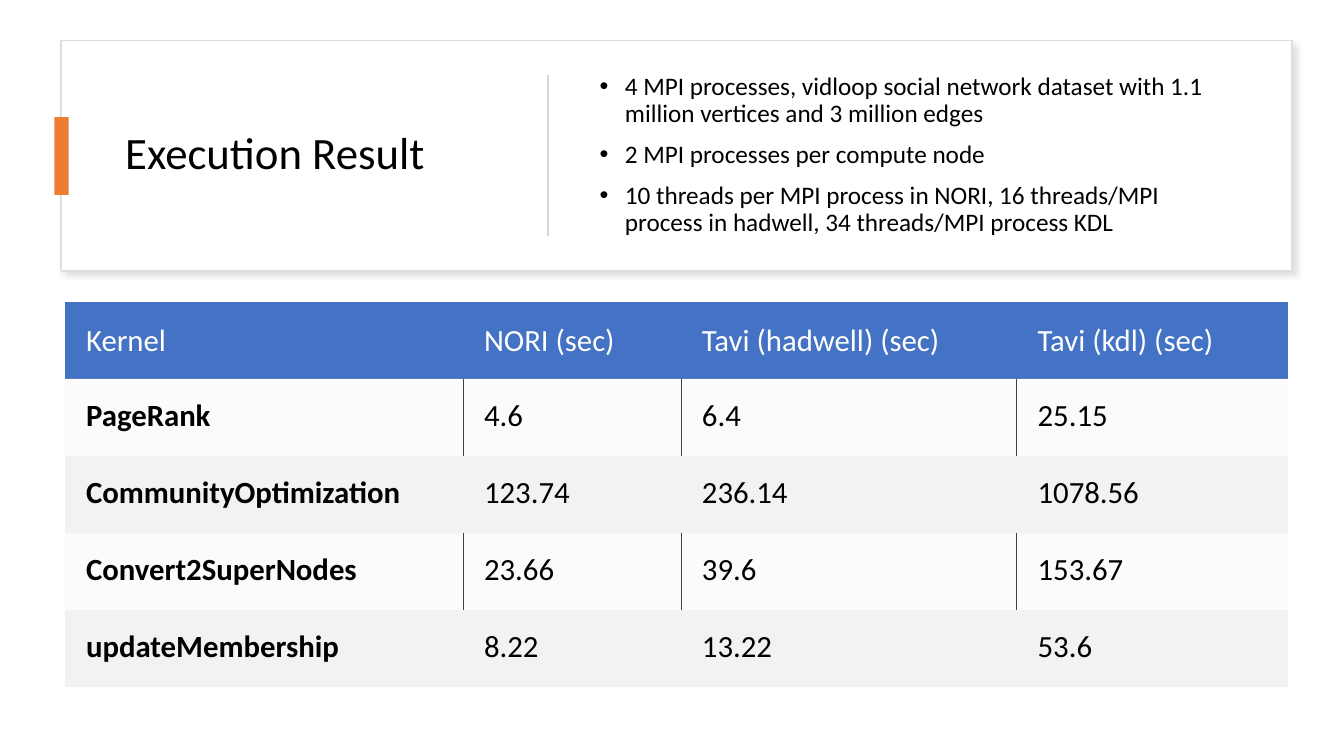
from lxml import etree
from pptx import Presentation, util as u
from pptx.dml.color import RGBColor
from pptx.enum import shapes, text
from pptx.oxml import parse_xml
from pptx.oxml.ns import nsdecls, qn

Cm, Pt = u.Cm, u.Pt
FONT = "Calibri"
COLORS = {
    "white": "FFFFFF", "black": "000000", "blue": "4472C4",
    "orange": "ED7D31", "band": "F2F2F2", "outline": "DEDEDE",
    "divider": "D5D5D5", "border": "404040", "shadow": "C5C3C3",
}
NO_STYLE = "{2D5ABB26-0587-4C30-8999-92F81FD0307C}"
BULLETS = [
    "4 MPI processes, vidloop social network dataset with 1.1 million vertices and 3 million edges",
    "2 MPI processes per compute node",
    "10 threads per MPI process in NORI, 16 threads/MPI process in hadwell, 34 threads/MPI process KDL",
]
ROWS = [
    ("Kernel", "NORI (sec)", "Tavi (hadwell) (sec)", "Tavi (kdl) (sec)"),
    ("PageRank", "4.6", "6.4", "25.15"),
    ("CommunityOptimization", "123.74", "236.14", "1078.56"),
    ("Convert2SuperNodes", "23.66", "39.6", "153.67"),
    ("updateMembership", "8.22", "13.22", "53.6"),
]
COL_WIDTHS = (10.03, 5.49, 8.46, 6.83)
ROW_HEIGHT = 1.94


def rgb(name):
    return RGBColor.from_string(COLORS[name])


def set_attrs(obj, values):
    for name, value in values.items():
        setattr(obj, name, value)


def box(left, top, width, height):
    return Cm(left), Cm(top), Cm(width), Cm(height)


def write(p, words, size, color="black", bold=False, **para):
    set_attrs(p, {"alignment": text.PP_ALIGN.LEFT, **para})
    r = p.add_run()
    r.text = words
    set_attrs(r.font, {"name": FONT, "size": Pt(size), "bold": bold})
    r.font.color.rgb = rgb(color)


def add_rect(s, place, fill, line=None):
    sp = s.shapes.add_shape(shapes.MSO_SHAPE.RECTANGLE, *box(*place))
    sp.shadow.inherit = False
    sp.fill.solid()
    sp.fill.fore_color.rgb = rgb(fill)
    if line:
        sp.line.color.rgb = rgb(line)
        sp.line.width = Pt(1)
    else:
        sp.line.fill.background()
    return sp


def add_shadow(sp):
    effects = sp._element.spPr.find(qn("a:effectLst"))
    effects.append(parse_xml(
        f'<a:outerShdw {nsdecls("a")} blurRad="{Pt(4)}" dist="{Pt(3)}" dir="2700000" '
        f'algn="tl" rotWithShape="0"><a:srgbClr val="{COLORS["shadow"]}">'
        '<a:alpha val="50000"/></a:srgbClr></a:outerShdw>'))


def add_divider(s, x, top, bottom):
    line = s.shapes.add_connector(
        shapes.MSO_CONNECTOR.STRAIGHT, Cm(x), Cm(top), Cm(x), Cm(bottom))
    line.line.color.rgb = rgb("divider")
    line.line.width = Pt(1.5)
    etree.SubElement(line._element.spPr, qn("a:effectLst"))


def format_frame(tf):
    set_attrs(tf, {"word_wrap": True, "auto_size": text.MSO_AUTO_SIZE.NONE,
                   "vertical_anchor": text.MSO_ANCHOR.MIDDLE})


def place_title(s, place, words):
    title = s.shapes.title
    set_attrs(title, dict(zip(("left", "top", "width", "height"), box(*place))))
    format_frame(title.text_frame)
    write(title.text_frame.paragraphs[0], words, 32, line_spacing=0.9)
    s.shapes._spTree.append(title._element)


def add_bullets(s, place, items):
    tf = s.shapes.add_textbox(*box(*place)).text_frame
    format_frame(tf)
    for i, item in enumerate(items):
        p = tf.add_paragraph() if i else tf.paragraphs[0]
        write(p, item, 18, line_spacing=0.9, space_before=Pt(10))
        pPr = p._p.get_or_add_pPr()
        pPr.set("marL", str(Cm(0.64)))
        pPr.set("indent", str(-Cm(0.64)))
        etree.SubElement(pPr, qn("a:buFont"), typeface="Arial")
        etree.SubElement(pPr, qn("a:buChar"), char="•")


def add_border(cell, side):
    tcPr = cell._tc.get_or_add_tcPr()
    borders = [e for e in tcPr if e.tag in (qn("a:lnL"), qn("a:lnR"))]
    tcPr.insert(len(borders), parse_xml(
        f'<a:{side} {nsdecls("a")} w="{Pt(0.5)}"><a:solidFill>'
        f'<a:srgbClr val="{COLORS["border"]}"/></a:solidFill></a:{side}>'))


def format_cell(cell, words, row, col):
    header, light = row == 0, row % 2 == 1
    set_attrs(cell, {
        "margin_left": Cm(0.53), "margin_right": Cm(0.69),
        "margin_top": Cm(0.41), "margin_bottom": Cm(0.41),
        "vertical_anchor": text.MSO_ANCHOR.MIDDLE if header else text.MSO_ANCHOR.TOP})
    write(cell.text_frame.paragraphs[0], words, 22, "white" if header else "black",
          bold=not header and col == 0, line_spacing=1.07)
    cell.fill.solid()
    cell.fill.fore_color.rgb = rgb("blue" if header else "band")
    if light:
        color = cell._tc.tcPr.find(".//" + qn("a:srgbClr"))
        etree.SubElement(color, qn("a:alpha"), val="30000")
        if col > 0:
            add_border(cell, "lnL")
        if col < len(COL_WIDTHS) - 1:
            add_border(cell, "lnR")


def add_results(s, left, top):
    frame = s.shapes.add_table(
        len(ROWS), len(COL_WIDTHS),
        *box(left, top, sum(COL_WIDTHS), ROW_HEIGHT * len(ROWS)))
    table = frame.table
    set_attrs(table, {"first_row": False, "horz_banding": False})
    table._tbl.tblPr.find(qn("a:tableStyleId")).text = NO_STYLE
    for column, width in zip(table.columns, COL_WIDTHS):
        column.width = Cm(width)
    for i, values in enumerate(ROWS):
        table.rows[i].height = Cm(ROW_HEIGHT)
        for j, value in enumerate(values):
            format_cell(table.cell(i, j), value, i, j)


def main():
    prs = Presentation()
    set_attrs(prs, {"slide_width": Cm(33.87), "slide_height": Cm(19.05)})
    s = prs.slides.add_slide(prs.slide_layouts[5])
    add_shadow(add_rect(s, (1.54, 1.02, 31.02, 5.81), "white", "outline"))
    place_title(s, (2.9, 1.63, 9.88, 4.57), "Execution Result")
    add_rect(s, (1.37, 2.95, 0.36, 1.96), "orange")
    add_divider(s, 13.82, 1.88, 5.94)
    add_bullets(s, (14.86, 1.63, 16.66, 4.57), BULLETS)
    add_results(s, 1.64, 7.6)
    prs.save("out.pptx")


if __name__ == "__main__":
    main()
